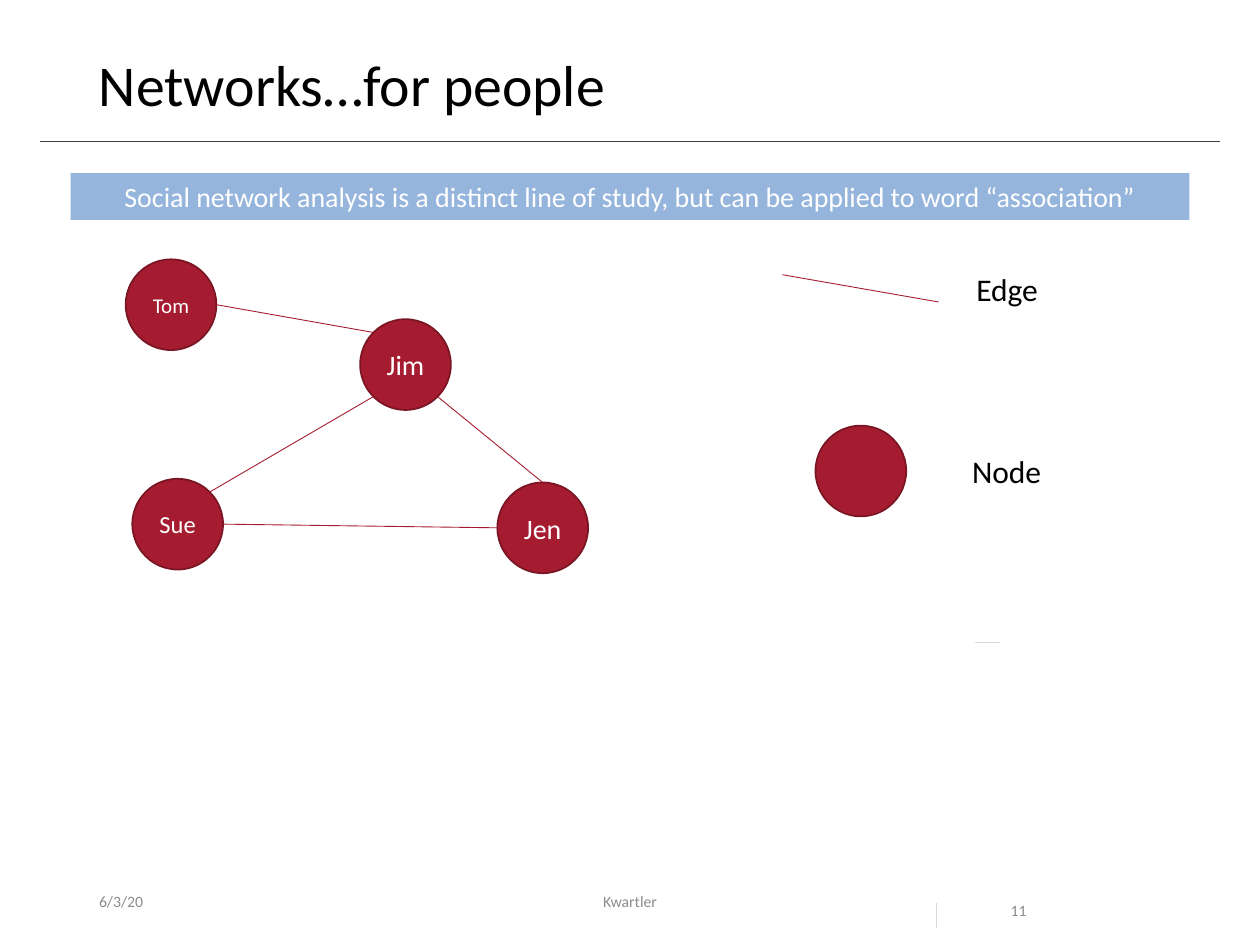
import math
from dataclasses import dataclass

import pptx
import pptx.dml.color
import pptx.enum.shapes
import pptx.enum.text
import pptx.oxml
import pptx.util

Pt = pptx.util.Pt
RGBColor = pptx.dml.color.RGBColor
Anchor = pptx.enum.text.MSO_ANCHOR
Align = pptx.enum.text.PP_ALIGN
Preset = pptx.enum.shapes.MSO_SHAPE

CRIMSON = RGBColor(0xA5, 0x1C, 0x30)
DARK_CRIMSON = RGBColor(0x7A, 0x15, 0x24)
SKY = RGBColor(0x95, 0xB5, 0xDC)
WHITE = RGBColor(0xFF, 0xFF, 0xFF)
BLACK = RGBColor(0x00, 0x00, 0x00)
GREY = RGBColor(0x8C, 0x8C, 0x8C)
PALE_GREY = RGBColor(0xD9, 0xD9, 0xD9)
CHARCOAL = RGBColor(0x40, 0x40, 0x40)

FONT = "Calibri"
DIAMETER = 51.84

# Directions on a node's rim, in degrees clockwise from the right
RIGHT, BOTTOM_RIGHT, BOTTOM_LEFT, LEFT, TOP_LEFT, TOP, TOP_RIGHT = (
    0, 45, 135, 180, 225, 270, 315)


@dataclass(frozen=True)
class Node:
    left: float
    top: float
    name: str = ""
    size: float = 16

    def rim(self, degrees: float) -> tuple[float, float]:
        radius, angle = DIAMETER / 2, math.radians(degrees)
        return (self.left + radius * (1 + math.cos(angle)),
                self.top + radius * (1 + math.sin(angle)))


@dataclass(frozen=True)
class Edge:
    start: Node
    start_side: float
    end: Node
    end_side: float


@dataclass(frozen=True)
class Label:
    text: str
    box: tuple[float, float, float, float]
    size: float
    color: RGBColor
    align: Align = Align.LEFT
    anchor: Anchor = Anchor.TOP
    spacing: float = 1.0
    wrap: bool = True


def write(shape, text: str, *, size: float, color: RGBColor,
          align: Align = Align.LEFT, anchor: Anchor = Anchor.TOP,
          spacing: float = 1.0, wrap: bool = True) -> None:
    frame = shape.text_frame
    frame.word_wrap = wrap
    frame.vertical_anchor = anchor
    paragraph = frame.paragraphs[0]
    paragraph.alignment = align
    paragraph.line_spacing = spacing
    run = paragraph.add_run()
    run.text = text
    run.font.name = FONT
    run.font.size = Pt(size)
    run.font.color.rgb = color


def draw_label(slide, label: Label) -> None:
    box = slide.shapes.add_textbox(*map(Pt, label.box))
    write(box, label.text, size=label.size, color=label.color,
          align=label.align, anchor=label.anchor,
          spacing=label.spacing, wrap=label.wrap)


def draw_line(slide, start: tuple[float, float], end: tuple[float, float],
              color: RGBColor) -> None:
    line = slide.shapes.add_connector(
        pptx.enum.shapes.MSO_CONNECTOR.STRAIGHT, *map(Pt, start + end))
    line.line.color.rgb = color
    line.line.width = Pt(0.5)
    properties = line._element.spPr
    properties.append(pptx.oxml.parse_xml(
        '<a:effectLst xmlns:a='
        '"http://schemas.openxmlformats.org/drawingml/2006/main"/>'))


def draw_node(slide, node: Node) -> None:
    circle = slide.shapes.add_shape(
        Preset.OVAL, *map(Pt, (node.left, node.top, DIAMETER, DIAMETER)))
    circle.shadow.inherit = False
    circle.fill.solid()
    circle.fill.fore_color.rgb = CRIMSON
    circle.line.color.rgb = DARK_CRIMSON
    circle.line.width = Pt(1)
    if node.name:
        write(circle, node.name, size=node.size, color=WHITE,
              align=Align.CENTER, anchor=Anchor.MIDDLE, wrap=False)


def draw_banner(slide, text: str) -> None:
    banner = slide.shapes.add_shape(
        Preset.RECTANGLE, *map(Pt, (40.32, 99, 639.36, 26.64)))
    banner.shadow.inherit = False
    banner.fill.solid()
    banner.fill.fore_color.rgb = SKY
    banner.line.fill.background()
    write(banner, text, size=16, color=WHITE, align=Align.CENTER)


TOM = Node(71.8, 148.2, "Tom", 12)
SUE = Node(75.6, 273.6, "Sue", 14)
JIM = Node(205.8, 182.4, "Jim")
JEN = Node(284.2, 275.7, "Jen")
LEGEND_NODE = Node(466, 243.2)

EDGES = [
    Edge(TOM, RIGHT, JIM, TOP_LEFT),
    Edge(SUE, TOP_RIGHT, JIM, BOTTOM_LEFT),
    Edge(JEN, TOP, JIM, BOTTOM_RIGHT),
    Edge(SUE, RIGHT, JEN, LEFT),
]

LABELS = [
    Label("Networks…for people", (49.5, 28.8, 621, 46.8), 33, BLACK,
          spacing=0.9),
    Label("6/3/20", (49.5, 500.5, 162, 28.8), 9, GREY, anchor=Anchor.MIDDLE),
    Label("Kwartler", (238.5, 500.5, 243, 28.8), 9, GREY,
          align=Align.CENTER, anchor=Anchor.MIDDLE),
    Label("11", (570.4, 500.5, 67.5, 28.8), 9, GREY, spacing=2.0),
    Label("Edge", (550.8, 150.6, 50.4, 29), 18, BLACK, wrap=False),
    Label("Node", (548.4, 255, 54.7, 29), 18, BLACK, wrap=False),
]


def main() -> None:
    deck = pptx.Presentation()
    deck.slide_width, deck.slide_height = Pt(720), Pt(540)
    slide = deck.slides.add_slide(deck.slide_layouts[6])

    # Title rule, banner and all plain text
    draw_line(slide, (23, 80.7), (697, 80.7), CHARCOAL)
    draw_banner(slide, "Social network analysis is a distinct line of study, "
                       "but can be applied to word “association”")
    for label in LABELS:
        draw_label(slide, label)

    # Network of people
    for person in (TOM, SUE, JIM, JEN):
        draw_node(slide, person)
    for edge in EDGES:
        draw_line(slide, edge.start.rim(edge.start_side),
                  edge.end.rim(edge.end_side), CRIMSON)

    # Legend
    draw_line(slide, (447.1, 157), (536.4, 172.6), CRIMSON)
    draw_node(slide, LEGEND_NODE)

    # Pale footer ticks
    draw_line(slide, (535, 515.8), (535, 530.2), PALE_GREY)
    draw_line(slide, (557.2, 367.2), (571.6, 367.2), PALE_GREY)

    deck.save("out.pptx")


if __name__ == "__main__":
    main()
